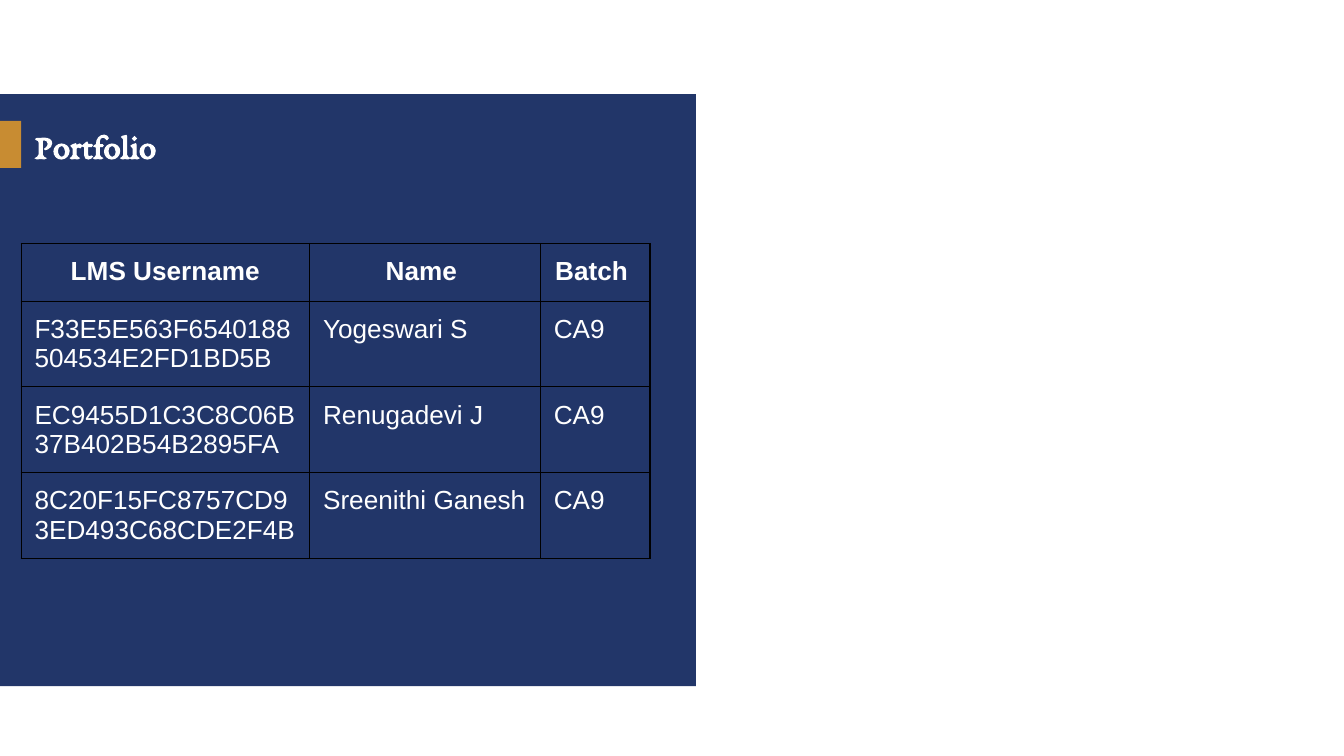
from lxml import etree
from pptx import Presentation
from pptx.dml.color import RGBColor
from pptx.enum import shapes, text
from pptx.oxml import ns
from pptx.util import Pt

NAVY = RGBColor(0x22, 0x36, 0x69)
GOLD = RGBColor(0xC8, 0x8C, 0x32)
WHITE = RGBColor(0xFF, 0xFF, 0xFF)
BLACK = RGBColor(0, 0, 0)

TITLE_FONT = {"name": "EB Garamond", "size": Pt(18.3), "bold": True}
HEADER_FONT = {"name": "Arial", "size": Pt(14), "bold": True}
BODY_FONT = {**HEADER_FONT, "bold": False}
TITLE_FRAME = {
    "margin_left": Pt(7.2), "margin_right": Pt(7.2),
    "margin_top": Pt(3.6), "margin_bottom": Pt(3.6),
    "vertical_anchor": text.MSO_ANCHOR.MIDDLE,
    "word_wrap": True, "auto_size": text.MSO_AUTO_SIZE.NONE,
}
CELL_FRAME = {
    "margin_left": Pt(7.2), "margin_right": Pt(7.2),
    "margin_top": Pt(7.2), "margin_bottom": Pt(7.2),
    "vertical_anchor": text.MSO_ANCHOR.TOP,
}

COLUMN_WIDTHS = (154.6, 123.6, 58.8)
ROW_HEIGHT = 31
ROWS = (
    ("LMS Username", "Name ", "Batch "),
    ("F33E5E563F6540188504534E2FD1BD5B", "Yogeswari S", "CA9"),
    ("EC9455D1C3C8C06B37B402B54B2895FA", "Renugadevi J", "CA9"),
    ("8C20F15FC8757CD93ED493C68CDE2F4B", "Sreenithi Ganesh", "CA9"),
)


def apply(obj, values):
    for name, value in values.items():
        setattr(obj, name, value)


def write(tf, words, font, align):
    p = tf.paragraphs[0]
    p.alignment = align
    r = p.add_run()
    r.text = words
    apply(r.font, font)
    r.font.color.rgb = WHITE


def add_block(s, left, top, width, height, color):
    sp = s.shapes.add_shape(shapes.MSO_SHAPE.RECTANGLE,
                            Pt(left), Pt(top), Pt(width), Pt(height))
    sp.shadow.inherit = False
    sp.fill.solid()
    sp.fill.fore_color.rgb = color
    sp.line.fill.background()


def place_title(s, words):
    sp = s.shapes.title
    apply(sp, {"left": Pt(11.5), "top": Pt(64), "width": Pt(269), "height": Pt(27.4)})
    apply(sp.text_frame, TITLE_FRAME)
    write(sp.text_frame, words, TITLE_FONT, text.PP_ALIGN.LEFT)
    sp.element.getparent().append(sp.element)


def add_borders(cell):
    props = cell._tc.get_or_add_tcPr()
    for side in ("lnL", "lnR", "lnT", "lnB"):
        line = etree.SubElement(props, ns.qn(f"a:{side}"), w=str(Pt(0.75)))
        fill = etree.SubElement(line, ns.qn("a:solidFill"))
        etree.SubElement(fill, ns.qn("a:srgbClr"), val=str(BLACK))


def add_roster(s, left, top):
    frame = s.shapes.add_table(len(ROWS), len(COLUMN_WIDTHS), Pt(left), Pt(top),
                               Pt(sum(COLUMN_WIDTHS)), Pt(ROW_HEIGHT * len(ROWS)))
    table = frame.table
    apply(table, {"first_row": False, "horz_banding": False})
    for column, width in zip(table.columns, COLUMN_WIDTHS):
        column.width = Pt(width)
    for i, values in enumerate(ROWS):
        table.rows[i].height = Pt(ROW_HEIGHT)
        font = BODY_FONT if i else HEADER_FONT
        align = text.PP_ALIGN.LEFT if i else text.PP_ALIGN.CENTER
        for j, words in enumerate(values):
            cell = table.cell(i, j)
            apply(cell, CELL_FRAME)
            add_borders(cell)
            cell.fill.background()
            write(cell.text_frame, words, font, align)


def main():
    prs = Presentation()
    apply(prs, {"slide_width": Pt(720), "slide_height": Pt(405)})
    s = prs.slides.add_slide(prs.slide_layouts[5])
    add_block(s, 0, 50.4, 372.8, 317.2, NAVY)
    add_block(s, 0, 64.8, 11.3, 25.2, GOLD)
    place_title(s, "Portfolio")
    add_roster(s, 11.3, 130.4)
    prs.save("out.pptx")


if __name__ == "__main__":
    main()
